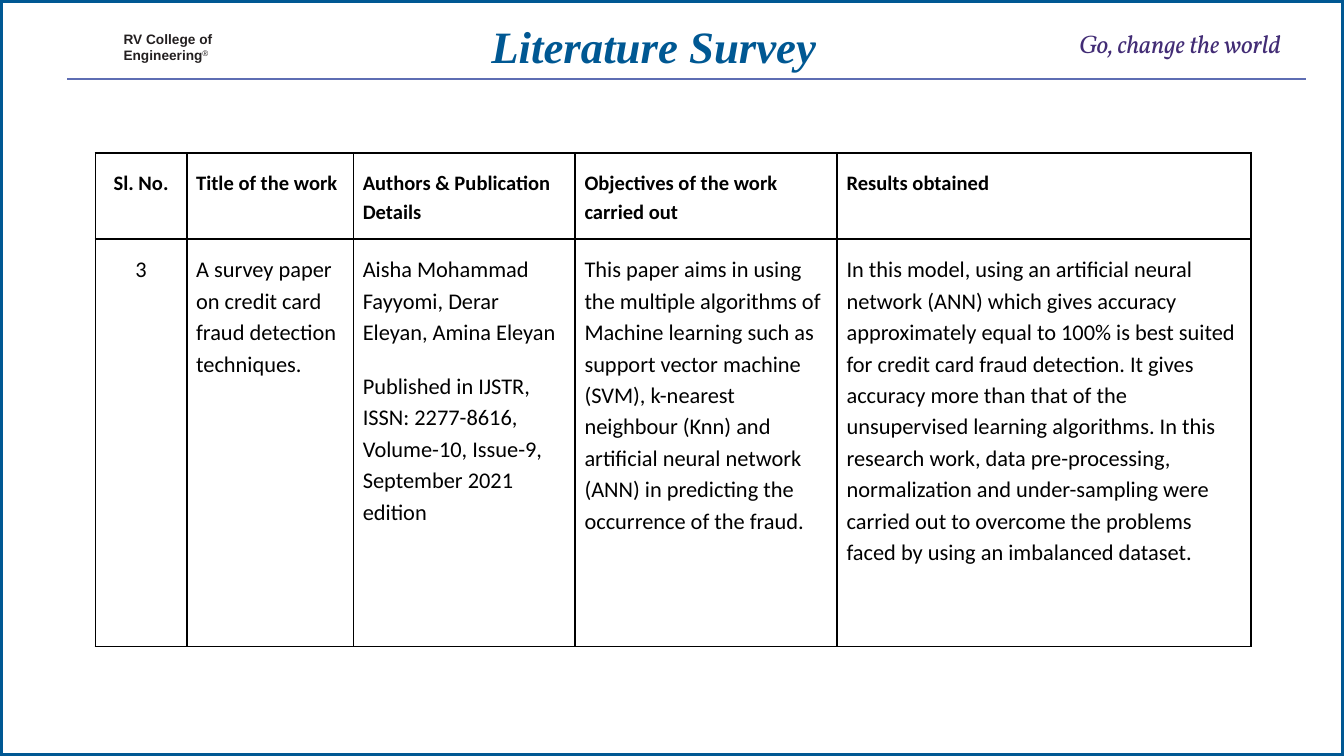
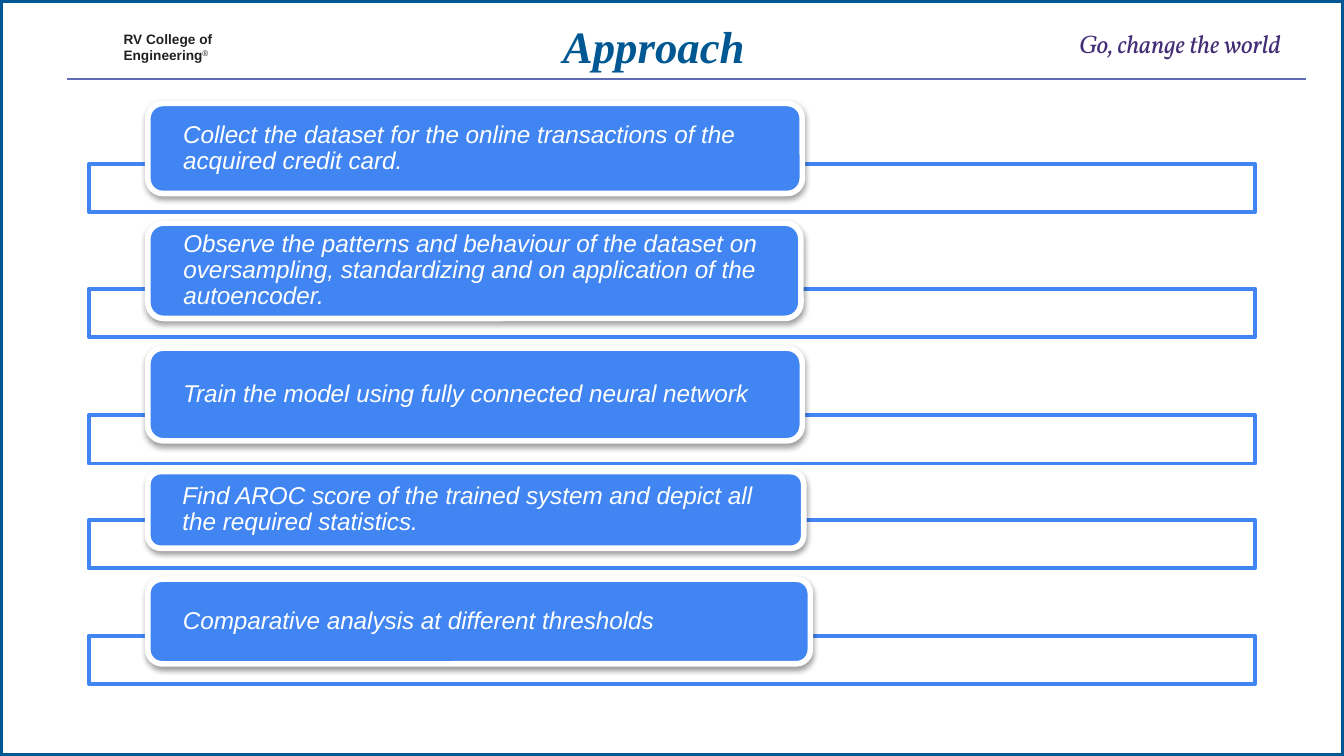
from lxml import etree
from pptx import Presentation
from pptx.dml.color import RGBColor
from pptx.enum.shapes import MSO_CONNECTOR, MSO_SHAPE
from pptx.enum.text import MSO_ANCHOR, MSO_AUTO_SIZE, PP_ALIGN
from pptx.oxml import parse_xml
from pptx.oxml.ns import nsdecls, qn
from pptx.util import Inches, Pt

WHITE = RGBColor(0xFF, 0xFF, 0xFF)
BLACK = RGBColor(0x00, 0x00, 0x00)
INK = RGBColor(0x23, 0x1F, 0x20)
NAVY = RGBColor(0x00, 0x58, 0x93)
RULE = RGBColor(0x5E, 0x6D, 0xB3)
PURPLE = RGBColor(0x42, 0x2C, 0x75)
BLUE = RGBColor(0x41, 0x85, 0xF2)

COLUMNS, ROWS = 100, 56.25
CELL = Inches(0.1)

HEADINGS = ["Sl. No.", "Title of the work", "Authors & Publication Details",
            "Objectives of the work carried out", "Results obtained"]
PAPER = [
    "3",
    "A survey paper on credit card fraud detection techniques.",
    "Aisha Mohammad Fayyomi, Derar Eleyan, Amina Eleyan\n"
    "Published in IJSTR, ISSN: 2277-8616, Volume-10, Issue-9, "
    "September 2021 edition",
    "This paper aims in using the multiple algorithms of Machine learning such "
    "as support vector machine (SVM), k-nearest neighbour (Knn) and artificial "
    "neural network (ANN) in predicting the occurrence of the fraud.",
    "In this model, using an artificial neural network (ANN) which gives "
    "accuracy approximately equal to 100% is best suited for credit card fraud "
    "detection. It gives accuracy more than that of the unsupervised learning "
    "algorithms. In this research work, data pre-processing, normalization and "
    "under-sampling were carried out to overcome the problems faced by using "
    "an imbalanced dataset.",
]

# Bar top, card top, card width, card height (grid cells), text
STEPS = [
    (12.2, 7.7, 48.7, 6.7, "Collect the dataset for the online transactions of "
                           "the acquired credit card."),
    (21.5, 16.6, 48.6, 7.1, "Observe the patterns and behaviour of the dataset on "
                            "oversampling, standardizing and on application of "
                            "the autoencoder."),
    (30.9, 25.9, 48.7, 6.9, "Train the model using fully connected neural network"),
    (38.7, 35.1, 48.8, 5.7, "Find AROC score of the trained system and depict all "
                            "the required statistics."),
    (47.3, 43.1, 49.3, 6.3, "Comparative analysis at different thresholds"),
]


def grid(*cells):
    return [round(n * CELL) for n in cells]


def set_font(p, name, size, color, bold=False, italic=False):
    f = p.font
    f.name, f.size, f.bold, f.italic = name, Pt(size), bold, italic
    f.color.rgb = color


def set_margins(tf, left=0.0, top=0.0, right=0.0, bottom=0.0):
    tf.margin_left, tf.margin_top, tf.margin_right, tf.margin_bottom = grid(
        left, top, right, bottom)


def set_borders(cell, color, width):
    tc_pr = cell._tc.get_or_add_tcPr()
    for i, side in enumerate(("lnL", "lnR", "lnT", "lnB")):
        tc_pr.insert(i, parse_xml(
            f'<a:{side} {nsdecls("a")} w="{Pt(width)}"><a:solidFill>'
            f'<a:srgbClr val="{color}"/></a:solidFill></a:{side}>'))


class Deck:
    """Holds the presentation, its style and the current slide."""

    def __init__(self):
        self.prs = Presentation()
        self.prs.slide_width, self.prs.slide_height = grid(COLUMNS, ROWS)
        self.layout = self.prs.slide_layouts[5]
        self.s = None

    def slide(self, title):
        first = self.s is None
        self.s = self.prs.slides.add_slide(self.layout)
        if first:
            self.share_frame()
        sp = self.s.shapes.title
        sp.left, sp.top, sp.width, sp.height = grid(17.1, 1.4, 63.1, 4)
        tf = sp.text_frame
        tf.text = title
        tf.auto_size = MSO_AUTO_SIZE.NONE
        tf.vertical_anchor = MSO_ANCHOR.TOP
        set_margins(tf)
        p = tf.paragraphs[0]
        p.alignment = PP_ALIGN.CENTER
        set_font(p, "Times New Roman", 24, NAVY, bold=True, italic=True)

    def share_frame(self):
        """Draws the frame and header, then moves them to the layout."""
        college = self.text((9.1, 2.2, 8, 2.5), "RV College of\nEngineering",
                            "Arial", 7.3, INK, bold=True)
        r = college.text_frame.paragraphs[1].add_run()
        r.text = "®"
        r.font.bold = False
        r._r.get_or_add_rPr().set("baseline", "30000")
        parts = [
            self.shape(MSO_SHAPE.RECTANGLE, (0, 0, COLUMNS, ROWS), WHITE, NAVY, 3),
            self.rule(5, 97.2, 5.9),
            college,
            self.text((80.2, 2, 16.9, 2.4), "Go, change the world",
                      "Vollkorn", 13.6, PURPLE, italic=True),
        ]
        tree = self.layout.shapes.element
        for i, part in enumerate(parts, start=2):
            tree.insert(i, part.element)

    def rule(self, left, right, y):
        line = self.s.shapes.add_connector(
            MSO_CONNECTOR.STRAIGHT, *grid(left, y, right, y))
        line.line.color.rgb = RULE
        line.line.width = Pt(1.25)
        etree.SubElement(line.element.spPr, qn("a:effectLst"))
        return line

    def text(self, box, text, name, size, color, **style):
        sp = self.s.shapes.add_textbox(*grid(*box))
        tf = sp.text_frame
        tf.word_wrap = True
        tf.text = text
        set_margins(tf, left=0.1, top=0.1)
        for p in tf.paragraphs:
            set_font(p, name, size, color, **style)
        return sp

    def shape(self, kind, box, fill, line, width):
        sp = self.s.shapes.add_shape(kind, *grid(*box))
        sp.shadow.inherit = False
        sp.fill.solid()
        sp.fill.fore_color.rgb = fill
        sp.line.color.rgb = line
        sp.line.width = Pt(width)
        return sp

    def bar(self, top):
        sp = self.shape(MSO_SHAPE.RECTANGLE, (6.6, top, 86.8, 3.6), WHITE, BLUE, 2)
        color = sp.element.spPr.find(qn("a:solidFill"))[0]
        etree.SubElement(color, qn("a:alpha"), val="90000")

    def card(self, top, width, height, text):
        sp = self.shape(MSO_SHAPE.ROUNDED_RECTANGLE, (11, top, width, height),
                        BLUE, WHITE, 3)
        sp.adjustments[0] = 0.167
        sp.element.spPr.find(qn("a:effectLst")).append(parse_xml(
            f'<a:outerShdw {nsdecls("a")} blurRad="{Pt(3.1)}" dist="{Pt(1.6)}" '
            f'dir="5400000" rotWithShape="0"><a:srgbClr val="{BLACK}">'
            '<a:alpha val="38000"/></a:srgbClr></a:outerShdw>'))
        tf = sp.text_frame
        tf.word_wrap = True
        tf.text = text
        tf.vertical_anchor = MSO_ANCHOR.MIDDLE
        set_margins(tf, left=2.3, right=2.3)
        p = tf.paragraphs[0]
        p.alignment = PP_ALIGN.LEFT
        p.line_spacing = 0.9
        set_font(p, "Arial", 13, WHITE, italic=True)

    def table(self, left, top, widths, heights, rows):
        box = grid(left, top, sum(widths), sum(heights))
        table = self.s.shapes.add_table(len(rows), len(widths), *box).table
        table.first_row = table.horz_banding = False
        for column, width in zip(table.columns, grid(*widths)):
            column.width = width
        for row, height in zip(table.rows, grid(*heights)):
            row.height = height
        for i, texts in enumerate(rows):
            for j, text in enumerate(texts):
                self.cell(table.cell(i, j), text, heading=i == 0, centred=j == 0)

    def cell(self, cell, text, heading, centred):
        cell.text = text
        cell.fill.background()
        set_margins(cell, 0.7, 1, 0.7, 1)
        set_borders(cell, BLACK, 1)
        for n, p in enumerate(cell.text_frame.paragraphs):
            p.alignment = PP_ALIGN.CENTER if centred else PP_ALIGN.LEFT
            p.line_spacing = 1.15
            if n:
                p.space_before = Pt(12)
            set_font(p, "Calibri", 11 if heading else 12, BLACK, bold=heading)


def main():
    deck = Deck()
    deck.slide("Literature Survey")
    deck.table(7.1, 11.4, [6.8, 12.4, 16.5, 19.5, 30.8], [6.4, 30.3],
               [HEADINGS, PAPER])
    deck.slide("Approach")
    for bar_top, card_top, width, height, text in STEPS:
        deck.bar(bar_top)
        deck.card(card_top, width, height, text)
    deck.prs.save("out.pptx")


if __name__ == "__main__":
    main()
